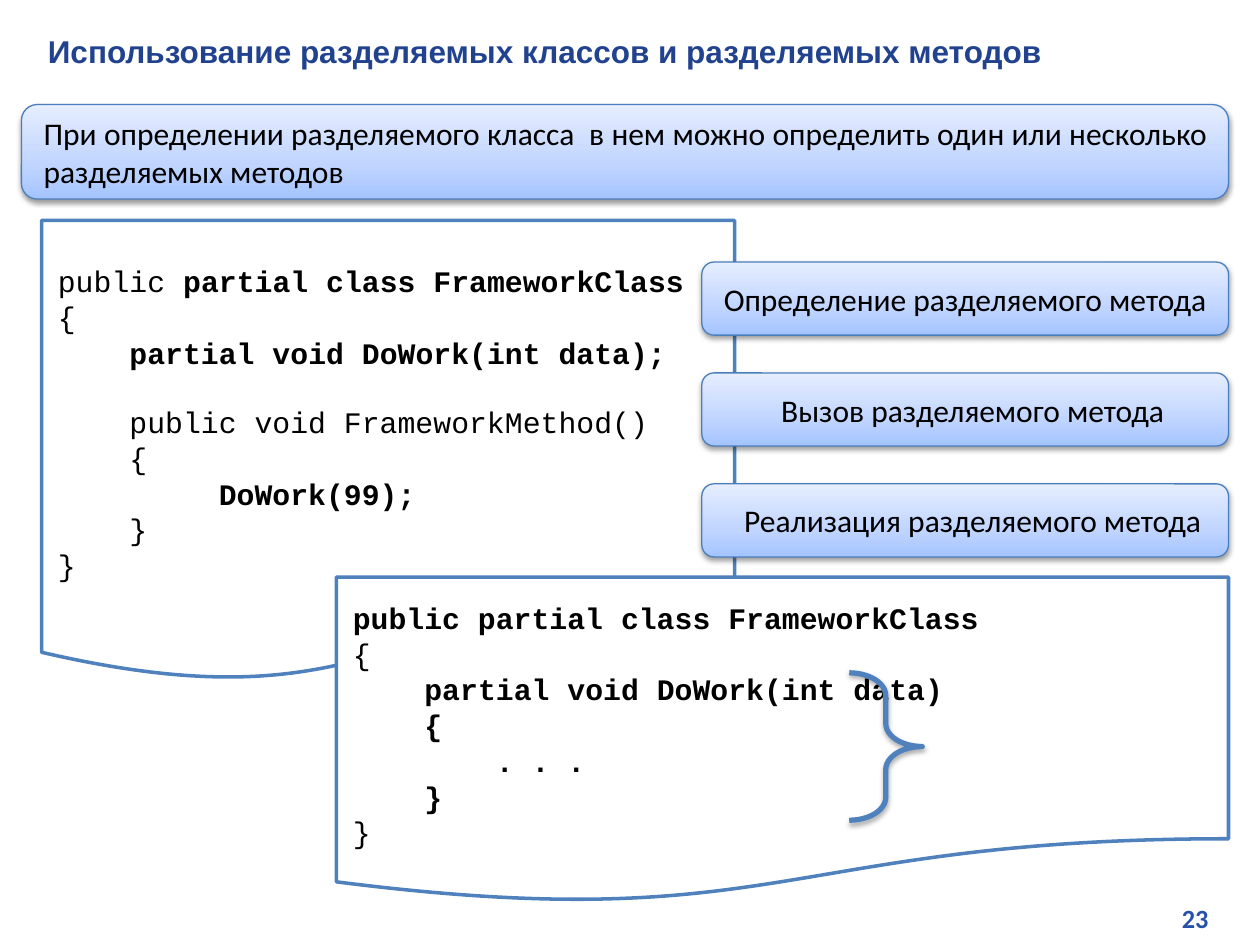
import pptx
import pptx.util
import pptx.dml.color
import pptx.enum.shapes
import pptx.enum.text
import pptx.oxml
import pptx.oxml.ns

Inches = pptx.util.Inches
Pt = pptx.util.Pt
RGB = pptx.dml.color.RGBColor
Kind = pptx.enum.shapes.MSO_SHAPE
Align = pptx.enum.text.PP_ALIGN
Anchor = pptx.enum.text.MSO_ANCHOR

BLACK = RGB(0x00, 0x00, 0x00)
WHITE = RGB(0xFF, 0xFF, 0xFF)
NAVY = RGB(0x21, 0x43, 0x8F)
ROYAL = RGB(0x27, 0x50, 0xAB)
EDGE = RGB(0x4B, 0x7E, 0xBC)
BLUE = RGB(0x4F, 0x81, 0xBD)
DEEP = RGB(0xA4, 0xC4, 0xFF)
SOFT = RGB(0xBF, 0xD4, 0xFF)
PALE = RGB(0xE6, 0xEE, 0xFF)

CODE_SIZE = 17
CODE_LINE = 19.3

# Each code line is a list of (text, bold) runs; None is an empty line.
CALLER = [
    [("public ", False), ("partial class FrameworkClass", True)],
    [("{", False)],
    [("    ", False), ("partial void DoWork(int data);", True)],
    None,
    [("    public void FrameworkMethod()", False)],
    [("    {", False)],
    [("         DoWork(99);", True)],
    [("    }", False)],
    [("}", False)],
]
WORKER = [
    [("public partial class FrameworkClass", True)],
    [("{", False)],
    [("    ", False), ("partial void DoWork(int data)", True)],
    [("    {", True)],
    [("        . . .", True)],
    [("    }", True)],
    [("}", False)],
]


def set_frame(frame, anchor=Anchor.MIDDLE, top=0.06):
    frame.word_wrap = True
    frame.auto_size = pptx.enum.text.MSO_AUTO_SIZE.NONE
    frame.vertical_anchor = anchor
    frame.margin_left = frame.margin_right = Inches(0.13)
    frame.margin_top, frame.margin_bottom = Inches(top), Inches(0.06)


def add_text(para, text, size=18, font="Calibri", color=BLACK, bold=False,
             align=Align.LEFT, indent=0):
    para.alignment = align
    if indent:
        para._p.get_or_add_pPr().set("marL", str(Inches(indent)))
    run = para.add_run()
    run.text = text
    run.font.size = Pt(size)
    run.font.name = font
    run.font.bold = bold
    run.font.color.rgb = color


def add_shape(slide, kind, box, line, width):
    shape = slide.shapes.add_shape(kind, *map(Inches, box))
    shape.shadow.inherit = False
    shape.line.color.rgb = line
    shape.line.width = Pt(width)
    return shape


def add_shadow(shape, alpha, dist):
    effects = shape._element.spPr.find(pptx.oxml.ns.qn("a:effectLst"))
    effects.append(pptx.oxml.parse_xml(
        f'<a:outerShdw {pptx.oxml.ns.nsdecls("a")} blurRad="{Pt(3.1)}" '
        f'dist="{Pt(dist)}" dir="5400000" rotWithShape="0">'
        f'<a:srgbClr val="{BLACK}"><a:alpha val="{alpha * 1000}"/></a:srgbClr>'
        '</a:outerShdw>'))


def fill_fade(shape):
    """Fill with three stops, running from the bottom edge up."""
    shape.fill.background()
    props = shape._element.spPr
    stops = "".join(
        f'<a:gs pos="{place * 1000}"><a:srgbClr val="{color}"/></a:gs>'
        for place, color in ((0, DEEP), (35, SOFT), (100, PALE)))
    props.replace(props.find(pptx.oxml.ns.qn("a:noFill")), pptx.oxml.parse_xml(
        f'<a:gradFill {pptx.oxml.ns.nsdecls("a")} rotWithShape="1">'
        f'<a:gsLst>{stops}</a:gsLst><a:lin ang="16200000" scaled="0"/>'
        '</a:gradFill>'))


def add_label(slide, box, text, align=Align.CENTER, indent=0):
    shape = add_shape(slide, Kind.ROUNDED_RECTANGLE, box, EDGE, 0.75)
    fill_fade(shape)
    add_shadow(shape, 38, 1.6)
    set_frame(shape.text_frame)
    add_text(shape.text_frame.paragraphs[0], text, align=align, indent=indent)


def add_code(slide, box, lines):
    shape = add_shape(slide, Kind.FLOWCHART_DOCUMENT, box, BLUE, 2)
    shape.fill.solid()
    shape.fill.fore_color.rgb = WHITE
    frame = shape.text_frame
    set_frame(frame, top=0.06 + CODE_LINE / 72)
    para, gap = frame.paragraphs[0], False
    for index, line in enumerate(lines):
        if line is None:
            gap = True
            continue
        if index:
            para = frame.add_paragraph()
        if gap:
            para.space_before = Pt(CODE_LINE)
            gap = False
        for text, bold in line:
            add_text(para, text, size=CODE_SIZE, font="Courier New", bold=bold)


def add_brace(slide, box):
    brace = add_shape(slide, Kind.RIGHT_BRACE, box, BLUE, 3)
    brace.fill.background()
    brace.adjustments[0] = 0.314
    brace.adjustments[1] = 0.5
    add_shadow(brace, 35, 1.8)


def add_title(slide, box, text):
    title = slide.shapes.title
    title.left, title.top, title.width, title.height = map(Inches, box)
    set_frame(title.text_frame)
    add_text(title.text_frame.paragraphs[0], text, font="Arial", color=NAVY,
             bold=True)


def add_number(slide, box, text):
    frame = slide.shapes.add_textbox(*map(Inches, box)).text_frame
    set_frame(frame, anchor=Anchor.TOP)
    add_text(frame.paragraphs[0], text, size=15, color=ROYAL, bold=True,
             align=Align.RIGHT)


def main():
    deck = pptx.Presentation()
    deck.slide_width, deck.slide_height = Inches(10), Inches(7.5)
    slide = deck.slides.add_slide(deck.slide_layouts[5])

    add_number(slide, (7.6, 7.1, 2.12, 0.38), "23")
    add_title(slide, (0.25, 0.2, 9.54, 0.4),
              "Использование разделяемых классов и разделяемых методов")
    add_label(slide, (0.17, 0.83, 9.58, 0.75),
              "При определении разделяемого класса  в нем можно определить "
              "один или несколько разделяемых методов",
              align=Align.JUSTIFY, indent=0.01)
    add_code(slide, (0.33, 1.75, 5.5, 3.67), CALLER)
    add_code(slide, (2.67, 4.58, 7.08, 2.59), WORKER)
    labels = (("Определение разделяемого метода", 0),
              ("Вызов разделяемого метода", 0.12),
              ("Реализация разделяемого метода", 0.12))
    for row, (text, indent) in enumerate(labels):
        add_label(slide, (5.57, 2.08 + 0.88 * row, 4.18, 0.58), text,
                  indent=indent)
    add_brace(slide, (6.74, 5.34, 0.58, 1.17))

    deck.save("out.pptx")


if __name__ == "__main__":
    main()
